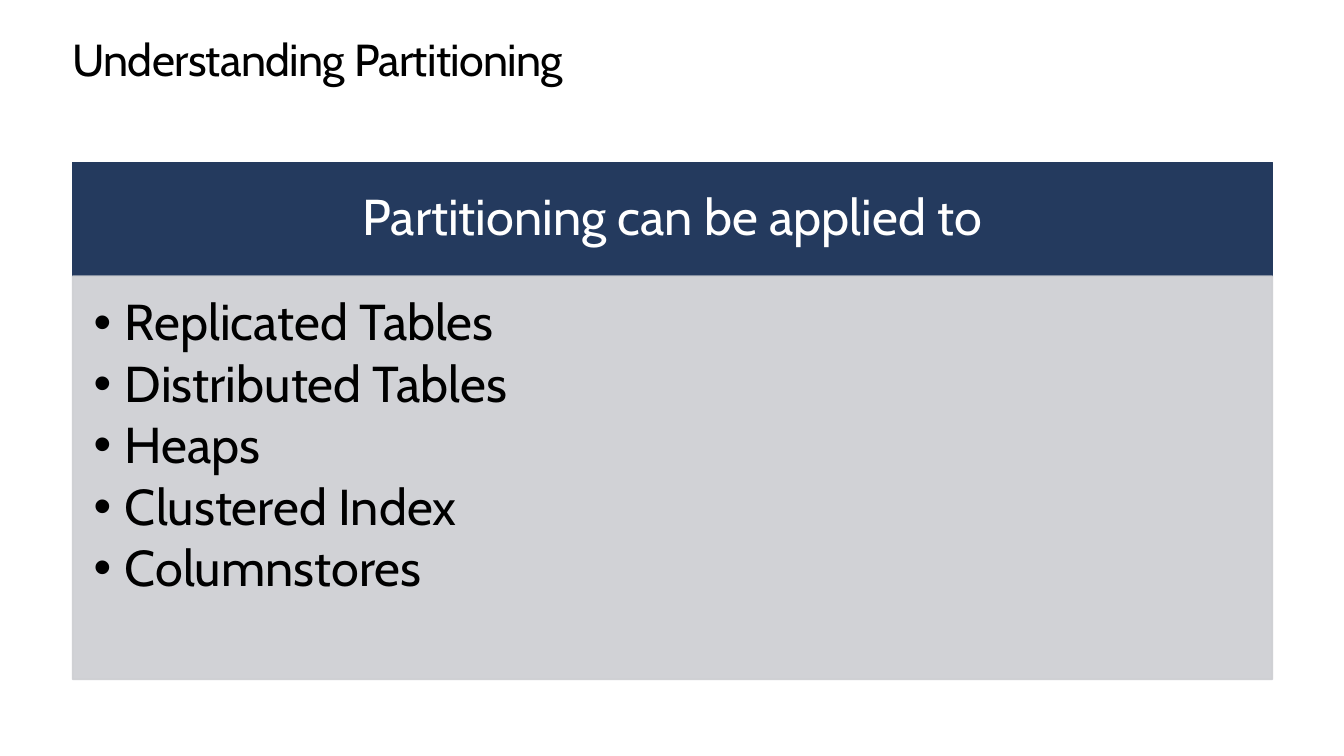
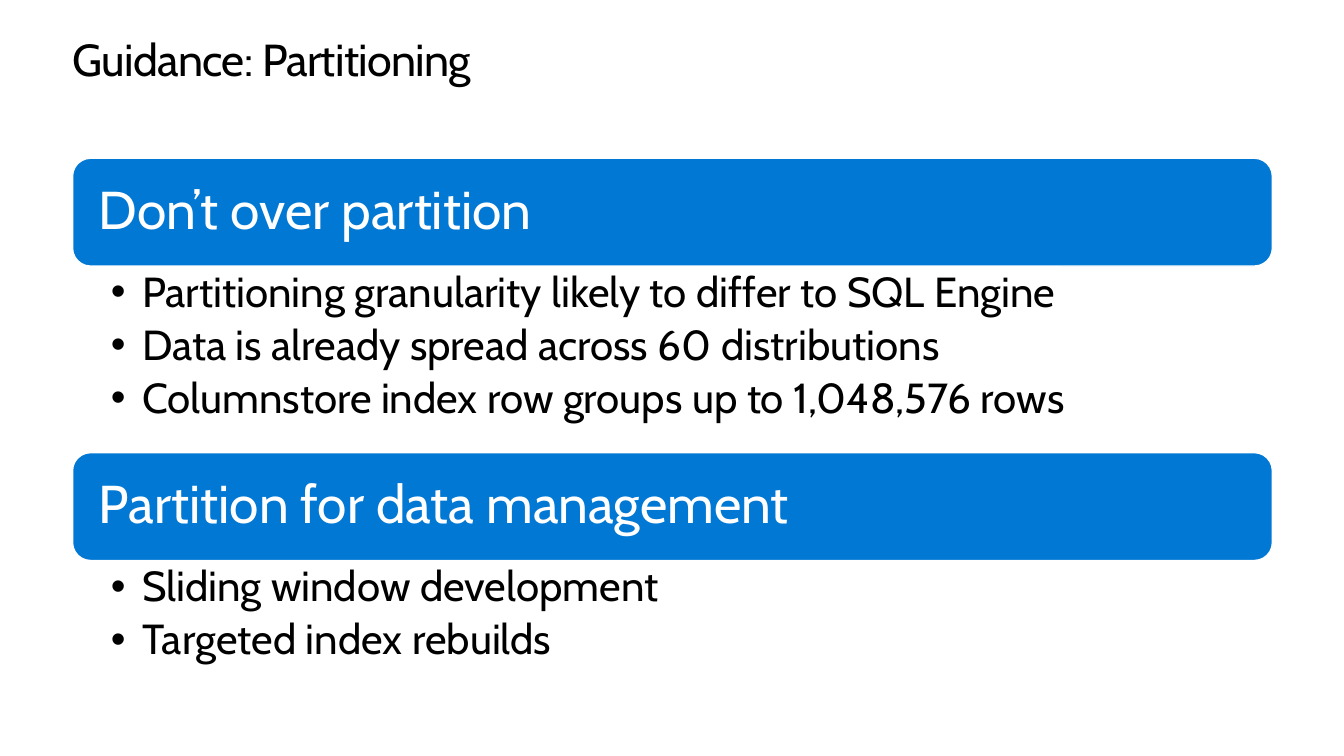
from lxml.etree import SubElement
from pptx import Presentation
from pptx.dml.color import RGBColor
from pptx.enum.shapes import MSO_SHAPE as Preset
from pptx.enum.text import MSO_ANCHOR as Anchor, PP_ALIGN as Align
from pptx.oxml.ns import qn
from pptx.util import Inches, Pt

APPLIES_TITLE = "Understanding Partitioning"
APPLIES_HEADING = "Partitioning can be applied to"
APPLIES_ITEMS = ["Replicated Tables", "Distributed Tables", "Heaps",
                 "Clustered Index", "Columnstores"]

GUIDANCE_TITLE = "Guidance: Partitioning"
GUIDANCE = [
    ("Don’t over partition", [
        "Partitioning granularity likely to differ to SQL Engine",
        "Data is already spread across 60 distributions",
        "Columnstore index row groups up to 1,048,576 rows",
    ]),
    ("Partition for data management", [
        "Sliding window development",
        "Targeted index rebuilds",
    ]),
]

FONT = "Cabin"
BLACK = RGBColor(0x00, 0x00, 0x00)
WHITE = RGBColor(0xFF, 0xFF, 0xFF)
NAVY = RGBColor(0x24, 0x3A, 0x5E)
BLUE = RGBColor(0x00, 0x78, 0xD4)
GREY = RGBColor(0xCD, 0xCE, 0xD2)

LEFT, WIDTH = 0.72, 11.9
BULLET_INDENT = 0.31


def fill_text(shape, lines, size, color, insets, anchor=Anchor.TOP,
              align=Align.LEFT, spacing=0.9, after=0):
    """Write one paragraph per line; insets are left, top, right, bottom."""
    frame = shape.text_frame
    frame.word_wrap = True
    frame.vertical_anchor = anchor
    (frame.margin_left, frame.margin_top,
     frame.margin_right, frame.margin_bottom) = map(Inches, insets)
    frame.text = "\n".join(lines)
    for para in frame.paragraphs:
        para.alignment = align
        para.line_spacing = spacing
        para.space_after = Pt(after)
        font = para.runs[0].font
        font.name, font.size, font.color.rgb = FONT, Pt(size), color


def add_bullets(shape):
    for para in shape.text_frame.paragraphs:
        props = para._p.get_or_add_pPr()
        props.set("marL", str(Inches(BULLET_INDENT)))
        props.set("indent", str(-Inches(BULLET_INDENT)))
        SubElement(props, qn("a:buFont"), typeface="Arial")
        SubElement(props, qn("a:buChar"), char="•")


def add_text_box(page, top, height):
    return page.shapes.add_textbox(Inches(LEFT), Inches(top),
                                   Inches(WIDTH), Inches(height))


def add_panel(page, preset, top, height, fill, line, opacity=100):
    panel = page.shapes.add_shape(preset, Inches(LEFT), Inches(top),
                                  Inches(WIDTH), Inches(height))
    panel.shadow.inherit = False
    panel.fill.solid()
    panel.fill.fore_color.rgb = fill
    panel.line.color.rgb = line
    panel.line.width = Pt(1)
    if opacity < 100:
        for color in panel._element.spPr.iter(qn("a:srgbClr")):
            SubElement(color, qn("a:alpha"), val=str(opacity * 1000))
    return panel


def add_page(deck, title):
    page = deck.slides.add_slide(deck.slide_layouts[6])
    box = add_text_box(page, 0.35, 0.5)
    fill_text(box, [title], 32, BLACK, (0, 0, 0, 0), spacing=Pt(36.2))
    box.text_frame.paragraphs[0].runs[0]._r.get_or_add_rPr().set("spc", "-50")
    return page


def build_applies_page(deck):
    page = add_page(deck, APPLIES_TITLE)
    top, header_height = 1.61, 1.13
    header = add_panel(page, Preset.RECTANGLE, top, header_height, NAVY, NAVY)
    fill_text(header, [APPLIES_HEADING], 36, WHITE, (0.28, 0.16, 0.28, 0.16),
              anchor=Anchor.MIDDLE, align=Align.CENTER)
    body = add_panel(page, Preset.RECTANGLE, top + header_height, 4,
                     GREY, GREY, opacity=90)
    fill_text(body, APPLIES_ITEMS, 36, BLACK, (0.21, 0.21, 0.28, 0.32), after=5)
    add_bullets(body)


def build_guidance_page(deck):
    page = add_page(deck, GUIDANCE_TITLE)
    top, band_height, item_height = 1.57, 1.07, 0.617
    for heading, items in GUIDANCE:
        band = add_panel(page, Preset.ROUNDED_RECTANGLE, top, band_height,
                         BLUE, WHITE)
        fill_text(band, [heading], 38, WHITE, (0.21, 0.21, 0.21, 0.21),
                  anchor=Anchor.MIDDLE)
        top += band_height
        list_height = item_height * len(items)
        box = add_text_box(page, top, list_height)
        fill_text(box, items, 30, BLACK, (0.38, 0.05, 0.3, 0.05), after=5.5)
        add_bullets(box)
        top += list_height


def main():
    deck = Presentation()
    deck.slide_width, deck.slide_height = Inches(13.33), Inches(7.5)
    build_applies_page(deck)
    build_guidance_page(deck)
    deck.save("out.pptx")


if __name__ == "__main__":
    main()
